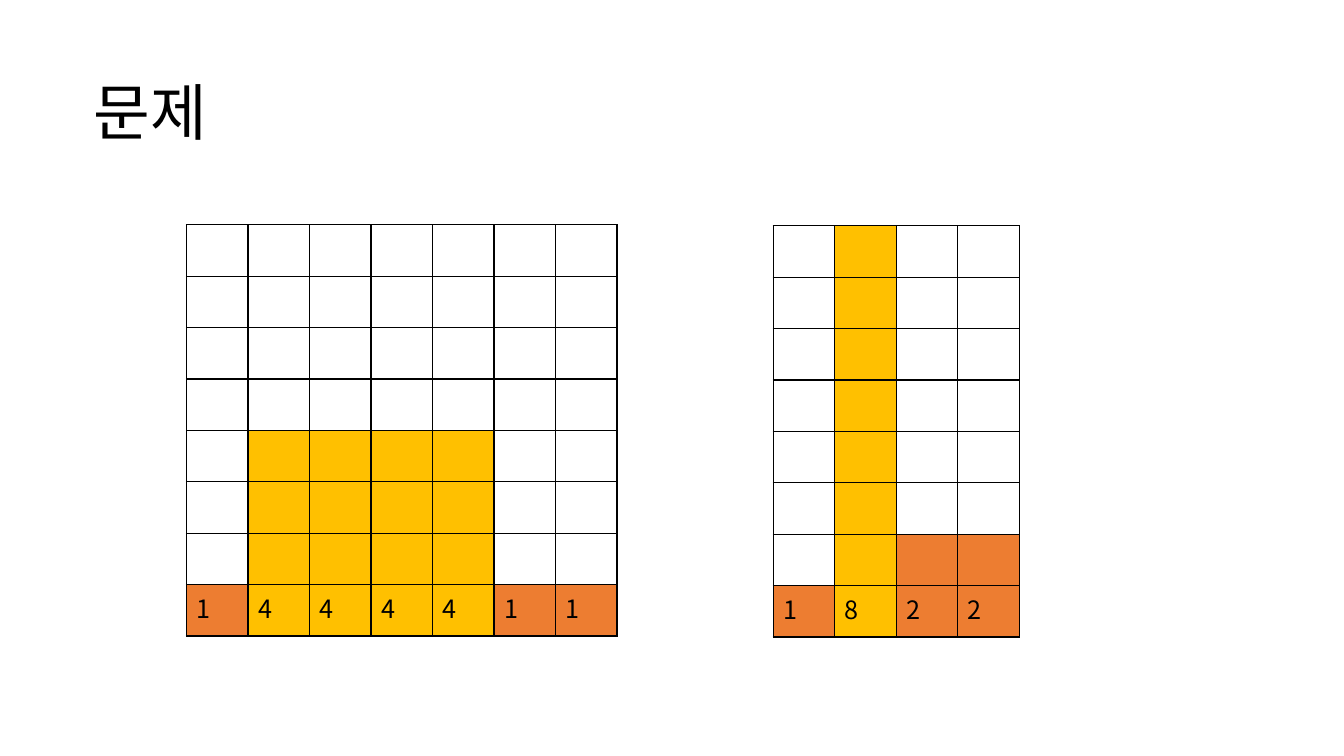
from lxml import etree
from pptx import Presentation
from pptx.dml.color import RGBColor
from pptx.enum.text import MSO_ANCHOR, PP_ALIGN
from pptx.oxml.ns import qn
from pptx.util import Inches, Pt

LEFT, MIDDLE = PP_ALIGN.LEFT, MSO_ANCHOR.MIDDLE
COLORS = {"ink": "000000", "tallest": "FFC000", "bar": "ED7D31"}
FONT = "Noto Sans CJK KR"
ROWS = 8
COL_W, ROW_H = 0.61, 0.51


def rgb(name):
    return RGBColor.from_string(COLORS[name])


def write(p, text, size):
    r = p.add_run()
    r.text = text
    p.alignment = LEFT
    for key, value in {"name": FONT, "size": Pt(size), "bold": False}.items():
        setattr(r.font, key, value)
    r.font.color.rgb = rgb("ink")
    etree.SubElement(r.font._element, qn("a:ea"), typeface=FONT)


def add_borders(cell):
    tc_pr = cell._tc.get_or_add_tcPr()
    for side in ("lnL", "lnR", "lnT", "lnB"):
        ln = etree.SubElement(tc_pr, qn(f"a:{side}"), w=str(Pt(1)))
        fill = etree.SubElement(ln, qn("a:solidFill"))
        etree.SubElement(fill, qn("a:srgbClr"), val=COLORS["ink"])


def add_title(s, text, left, top, width, height):
    sp = s.shapes.title
    box = {"left": left, "top": top, "width": width, "height": height}
    for key, value in box.items():
        setattr(sp, key, Inches(value))
    tf = sp.text_frame
    tf.vertical_anchor = MIDDLE
    p = tf.paragraphs[0]
    p.line_spacing = 0.9
    write(p, text, 44)


def add_histogram(s, heights, left, top):
    box = (left, top, COL_W * len(heights), ROW_H * ROWS)
    table = s.shapes.add_table(ROWS, len(heights), *map(Inches, box)).table
    table.first_row = table.horz_banding = False
    for row in table.rows:
        row.height = Inches(ROW_H)
    for c, height in enumerate(heights):
        table.columns[c].width = Inches(COL_W)
        color = "tallest" if height == max(heights) else "bar"
        for r in range(ROWS):
            cell = table.cell(r, c)
            add_borders(cell)
            if r >= ROWS - height:
                cell.fill.solid()
                cell.fill.fore_color.rgb = rgb(color)
            else:
                cell.fill.background()
        write(table.cell(ROWS - 1, c).text_frame.paragraphs[0], str(height), 18)


def main():
    prs = Presentation()
    prs.slide_width, prs.slide_height = Inches(13.33), Inches(7.5)
    s = prs.slides.add_slide(prs.slide_layouts[5])
    add_title(s, "문제", 0.83, 0.42, 11.5, 1.45)
    add_histogram(s, [1, 4, 4, 4, 4, 1, 1], 1.85, 2.23)
    add_histogram(s, [1, 8, 2, 2], 7.67, 2.24)
    prs.save("out.pptx")


if __name__ == "__main__":
    main()
